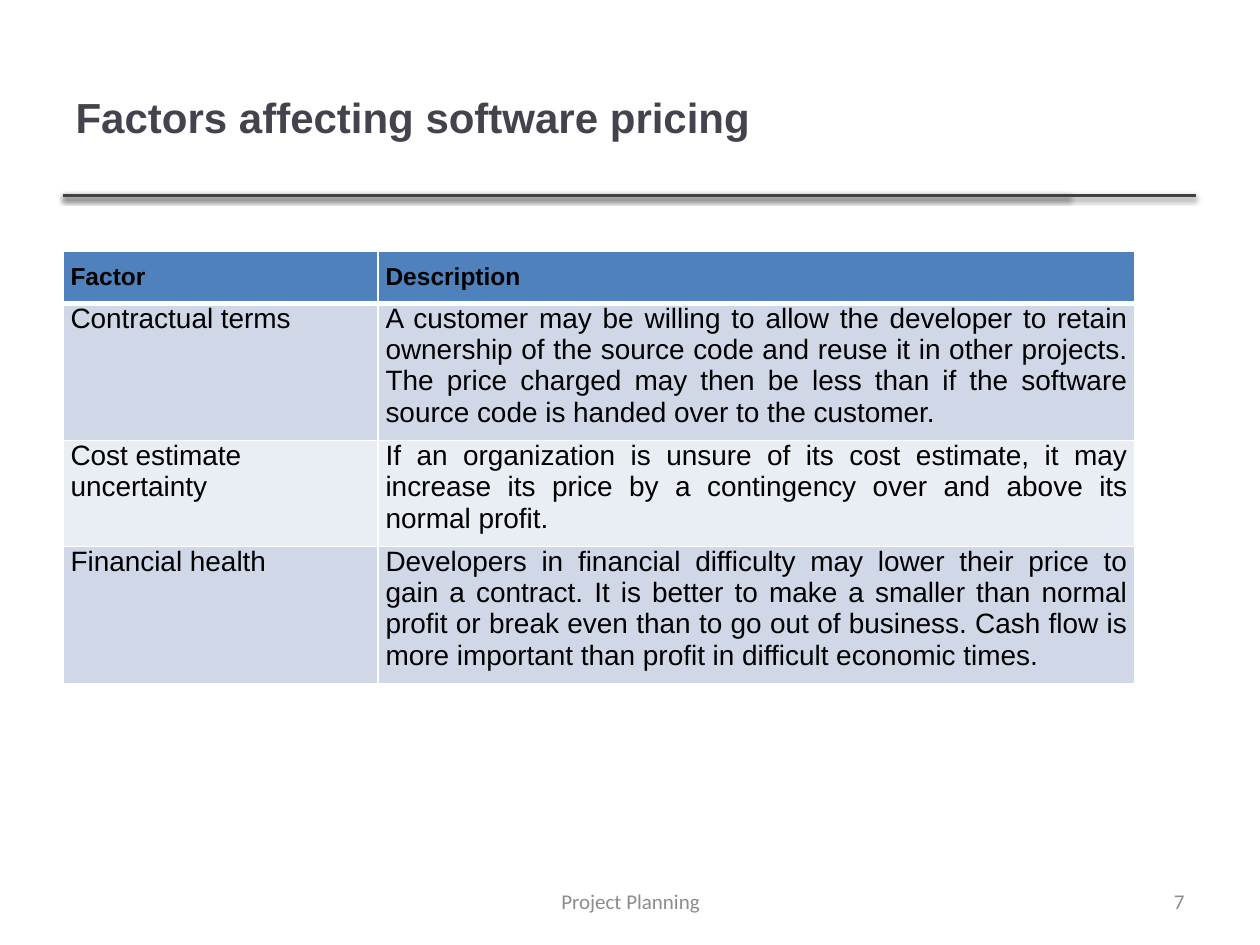
from lxml import etree
from pptx import Presentation, util as u
from pptx.dml.color import RGBColor
from pptx.enum import shapes, text
from pptx.oxml import ns

INK = "000000"
GREY = "8C8C8C"
LEFT = text.PP_ALIGN.LEFT
MID = text.PP_ALIGN.CENTER
RIGHT = text.PP_ALIGN.RIGHT
FULL = text.PP_ALIGN.JUSTIFY

ROWS = [
    ("Factor", "Description"),
    ("Contractual terms",
     "A customer may be willing to allow the developer to retain ownership of "
     "the source code and reuse it in other projects. The price charged may "
     "then be less than if the software source code is handed over to the "
     "customer."),
    ("Cost estimate uncertainty",
     "If an organization is unsure of its cost estimate, it may increase its "
     "price by a contingency over and above its normal profit."),
    ("Financial health",
     "Developers in financial difficulty may lower their price to gain a "
     "contract. It is better to make a smaller than normal profit or break "
     "even than to go out of business. Cash flow is more important than "
     "profit in difficult economic times."),
]
WIDTHS = [2.5, 6.01]
HEIGHTS = [0.41, 1.08, 0.84, 1.08]
FILLS = ["4F81BD", "D0D8E8", "E9EDF4", "D0D8E8"]


def color(code):
    return RGBColor.from_string(code)


def box(*sizes):
    return [u.Inches(size) for size in sizes]


def node(root, tag, **attrs):
    return etree.SubElement(root, ns.qn(tag), attrs)


def write(frame, words, size, face, code, align, bold=False):
    frame.text = words
    frame.word_wrap = True
    para = frame.paragraphs[0]
    para.alignment = align
    font = para.runs[0].font
    font.size = u.Pt(size)
    font.name = face
    font.bold = bold
    font.color.rgb = color(code)


def add_title(slide):
    title = slide.shapes.title
    title.left, title.top, title.width, title.height = box(0.5, 0.3, 7.98, 1.25)
    frame = title.text_frame
    write(frame, "Factors affecting software pricing", 24, "Arial", "46424D",
          LEFT, True)
    frame.auto_size = text.MSO_AUTO_SIZE.NONE
    frame.vertical_anchor = text.MSO_ANCHOR.MIDDLE


def add_rule(slide, end):
    rule = slide.shapes.add_connector(
        shapes.MSO_CONNECTOR.STRAIGHT, *box(0.5, 1.55, end, 1.55))
    rule.line.color.rgb = color("404040")
    rule.line.width = u.Pt(2)
    glow = node(rule._element.spPr, "a:effectLst")
    shade = node(glow, "a:outerShdw", blurRad=str(u.Pt(3.1)),
                 dist=str(u.Pt(1.6)), dir="5400000", rotWithShape="0")
    tint = node(shade, "a:srgbClr", val=INK)
    node(tint, "a:alpha", val="38000")


def add_edges(cell, base):
    props = cell._tc.get_or_add_tcPr()
    sides = [("L", 1), ("R", 1), ("T", 1), ("B", base)]
    for spot, (side, width) in enumerate(sides):
        edge = node(props, f"a:ln{side}", w=str(u.Pt(width)))
        node(node(edge, "a:solidFill"), "a:srgbClr", val="FFFFFF")
        props.insert(spot, edge)


def add_cell(cell, words, row, col):
    head = row == 0
    align = FULL if head or col else LEFT
    write(cell.text_frame, words, 14 if head else 16, "Arial", INK, align, head)
    cell.margin_left = cell.margin_right = u.Inches(0.06)
    cell.margin_top = u.Inches(0.1 if head else 0)
    cell.margin_bottom = u.Inches(0.1)
    cell.fill.solid()
    cell.fill.fore_color.rgb = color(FILLS[row])
    add_edges(cell, 3 if head else 1)
    if row == 1:
        top = cell._tc.tcPr.find(ns.qn("a:lnT"))
        top.set("w", str(u.Pt(3)))


def add_grid(slide):
    grid = slide.shapes.add_table(
        len(ROWS), len(WIDTHS),
        *box(0.5, 1.99, sum(WIDTHS), sum(HEIGHTS))).table
    for col, width in enumerate(WIDTHS):
        grid.columns[col].width = u.Inches(width)
    for row, cells in enumerate(ROWS):
        grid.rows[row].height = u.Inches(HEIGHTS[row])
        for col, words in enumerate(cells):
            add_cell(grid.cell(row, col), words, row, col)


def add_foot(slide, words, left, width, align):
    frame = slide.shapes.add_textbox(*box(left, 6.95, width, 0.4)).text_frame
    write(frame, words, 12, "Calibri", GREY, align)
    frame.vertical_anchor = text.MSO_ANCHOR.MIDDLE


def main():
    deck = Presentation()
    deck.slide_width, deck.slide_height = box(10, 7.5)
    slide = deck.slides.add_slide(deck.slide_layouts[5])
    for end in (8.49, 9.49):
        add_rule(slide, end)
    add_title(slide)
    add_grid(slide)
    add_foot(slide, "Project Planning", 3.42, 3.17, MID)
    add_foot(slide, "7", 7.17, 2.33, RIGHT)
    deck.save("out.pptx")


if __name__ == "__main__":
    main()
